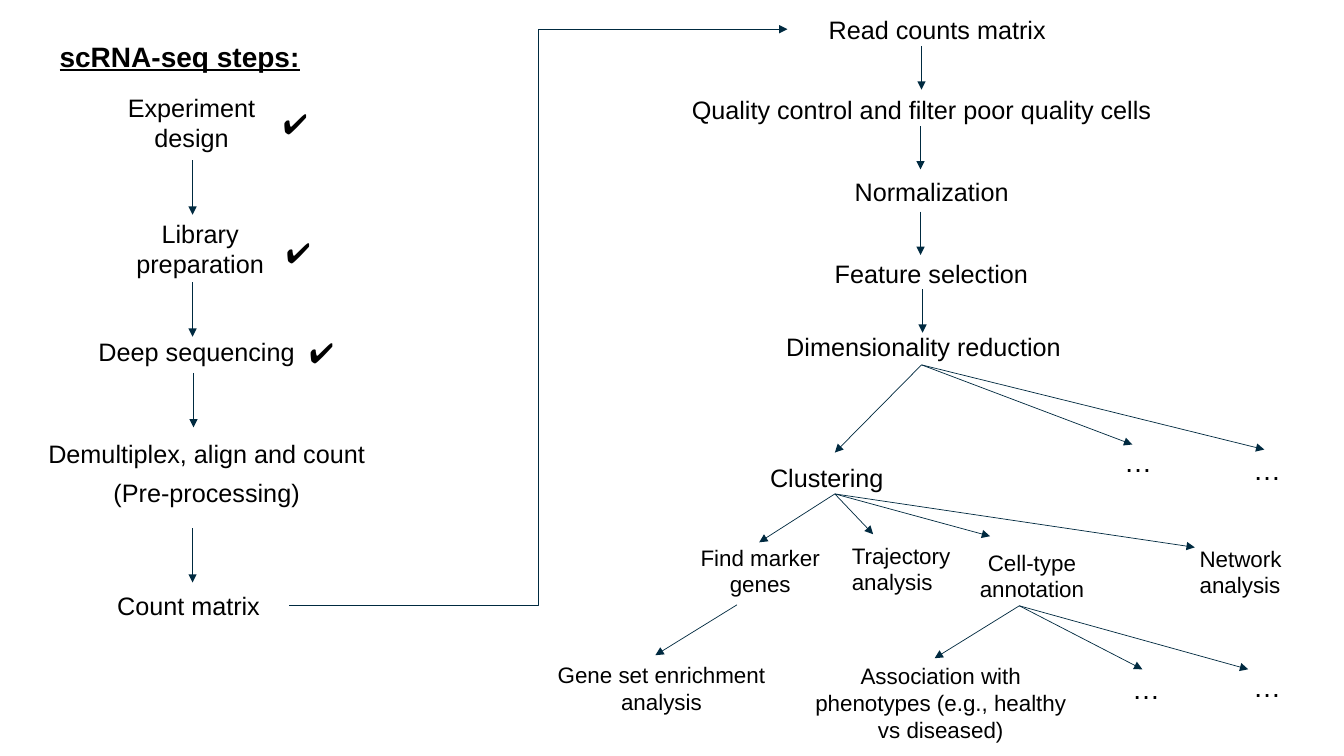
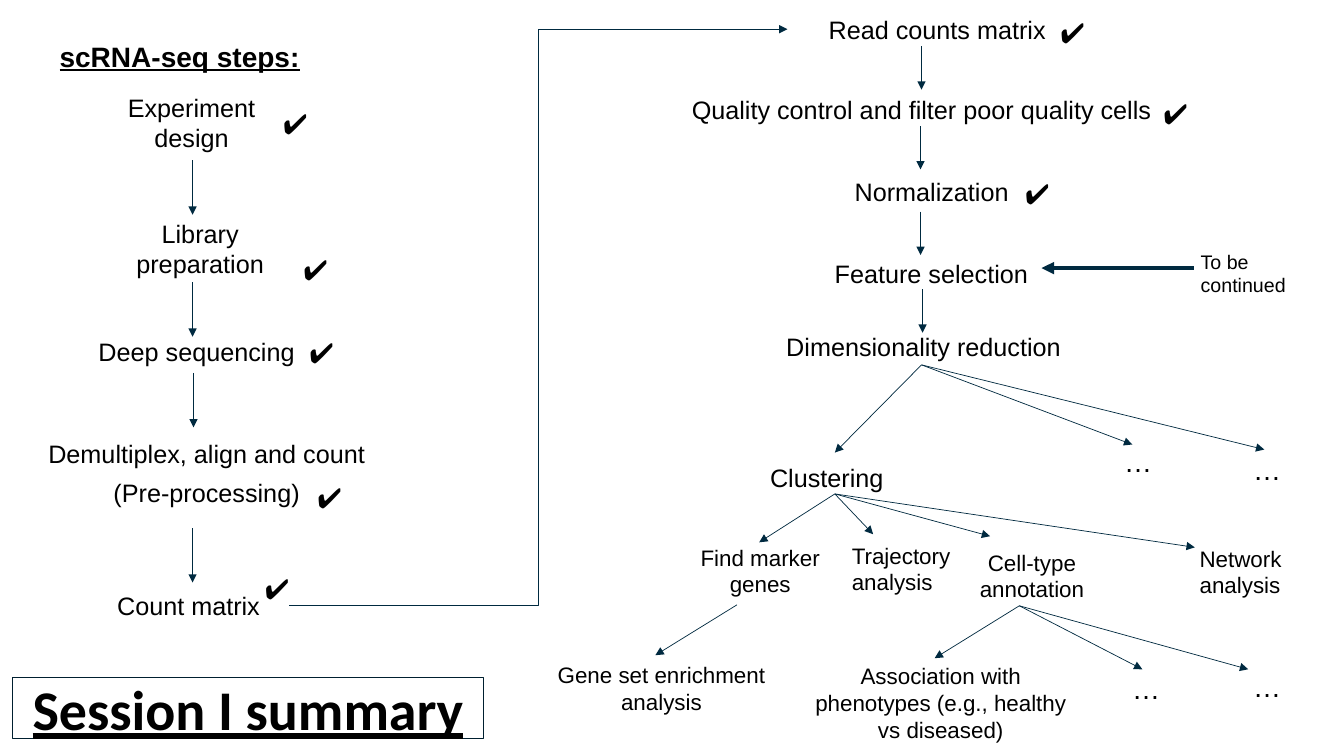
from lxml import etree
from pptx import Presentation
from pptx.dml.color import RGBColor
from pptx.enum import shapes, text
from pptx.oxml import ns
from pptx.util import Inches, Pt

BLACK = RGBColor(0x00, 0x00, 0x00)
ARROW_BLUE = RGBColor(0x00, 0x2A, 0x40)
BORDER_BLUE = RGBColor(0x00, 0x1F, 0x2F)
BODY_FONT = "Arial"
SUMMARY_FONT = "Calibri"
LEFT = text.PP_ALIGN.LEFT
CENTER = text.PP_ALIGN.CENTER

STEP_HEIGHT = 0.5
WET_LAB_WIDTH = 2.6
ANALYSIS_WIDTH = 2.18

# Unwrapped single-line steps: label, left, top, width, alignment
STEPS = [
    ("Deep sequencing", 0.65, 3.24, WET_LAB_WIDTH, CENTER),
    ("Count matrix", 0.57, 5.76, WET_LAB_WIDTH, CENTER),
    ("Read counts matrix", 8.12, 0.04, ANALYSIS_WIDTH, LEFT),
    ("Quality control and filter poor quality cells", 8.05, 0.84, ANALYSIS_WIDTH, CENTER),
    ("Normalization", 8.15, 1.65, ANALYSIS_WIDTH, CENTER),
    ("Feature selection", 8.18, 2.46, ANALYSIS_WIDTH, LEFT),
    ("Dimensionality reduction", 8.07, 3.19, ANALYSIS_WIDTH, CENTER),
    ("Clustering", 7.11, 4.49, ANALYSIS_WIDTH, CENTER),
]

# Wrapped labels: label, box, size, alignment
WRAPPED_LABELS = [
    ("Experiment design", (0.9, 0.97, 2, 0.49), 18, CENTER),
    ("Library preparation", (1.16, 2.22, 1.65, 0.49), 18, CENTER),
    ("Find marker genes", (6.63, 5.35, 1.82, 0.62), 16, CENTER),
    ("Trajectory analysis", (8.35, 5.44, 1.55, 0.4), 16, LEFT),
    ("Cell-type annotation", (9.51, 5.51, 1.45, 0.4), 16, CENTER),
    ("Network analysis", (11.8, 5.17, 1.46, 1), 16, LEFT),
    ("Gene set enrichment analysis", (5.2, 6.33, 2.72, 1), 16, CENTER),
    ("Association with phenotypes (e.g., healthy vs diseased)",
     (7.97, 6.47, 2.72, 1), 16, CENTER),
]

ELLIPSES = [(11.05, 4.38), (12.33, 4.46), (12.33, 6.61), (11.13, 6.63)]

# Downward arrows: x, top, length
DOWN_ARROWS = [
    (1.91, 1.59, 0.54), (1.91, 2.8, 0.54), (1.92, 3.7, 0.54), (1.91, 5.24, 0.54),
    (9.14, 0.46, 0.43), (9.13, 1.25, 0.43), (9.13, 2.1, 0.43), (9.15, 2.87, 0.43),
]

# Branching arrows: start, ends
BRANCHES = [
    ((9.14, 3.62), [(8.28, 4.49), (11.23, 4.41), (12.54, 4.46)]),
    ((8.28, 4.9), [(7.53, 5.38), (8.66, 5.3), (9.82, 5.32), (11.85, 5.43)]),
    ((7.31, 6), [(6.5, 6.5)]),
    ((10.11, 6.01), [(9.27, 6.53), (11.33, 6.64), (12.38, 6.64)]),
]

STEPS_CHECKS = [(2.71, 0.94), (2.74, 2.22), (2.97, 3.22)]
SUMMARY_CHECKS = [
    (2.71, 0.94), (2.91, 2.39), (2.97, 3.22), (3.05, 4.65), (2.53, 5.56),
    (10.42, 0.04), (11.44, 0.84), (10.07, 1.64),
]


def write_text(shape, lines, size, align=LEFT, wrap=True, font=BODY_FONT, heading=False):
    """Fill a shape with one paragraph per line; headings are bold and underlined."""
    frame = shape.text_frame
    frame.auto_size = text.MSO_AUTO_SIZE.NONE
    frame.word_wrap = wrap
    frame.vertical_anchor = text.MSO_ANCHOR.MIDDLE
    for index, line in enumerate(lines):
        paragraph = frame.add_paragraph() if index else frame.paragraphs[0]
        paragraph.alignment = align
        paragraph.space_after = Pt(6)
        run = paragraph.add_run()
        run.text = line
        run.font.name = font
        run.font.size = Pt(size)
        run.font.color.rgb = BLACK
        if heading:
            run.font.bold = True
            run.font.underline = True


def add_label(slide, lines, box, size=18, align=LEFT, wrap=True):
    shape = slide.shapes.add_textbox(*map(Inches, box))
    write_text(shape, lines, size, align, wrap)


def add_arrow(slide, start, end, width=0.5, kind=shapes.MSO_CONNECTOR.STRAIGHT):
    connector = slide.shapes.add_connector(kind, *map(Inches, (*start, *end)))
    connector.line.color.rgb = ARROW_BLUE
    connector.line.width = Pt(width)
    line = connector.line._get_or_add_ln()
    etree.SubElement(line, ns.qn("a:tailEnd"), type="triangle")
    etree.SubElement(connector._element.spPr, ns.qn("a:effectLst"))


def add_checks(slide, positions):
    for left, top in positions:
        add_label(slide, ["✔️"], (left, top, 1, 0.56), 20, wrap=False)


def add_heading(slide):
    title = slide.shapes.title
    title.left, title.top, title.width, title.height = map(Inches, (0.49, 0.32, 3.76, 0.47))
    write_text(title, ["scRNA-seq steps:"], 20, heading=True)


def add_workflow_slide(presentation, checks):
    """Add a slide with the whole workflow and the given check marks."""
    slide = presentation.slides.add_slide(presentation.slide_layouts[5])
    add_heading(slide)
    for label, left, top, width, align in STEPS:
        add_label(slide, [label], (left, top, width, STEP_HEIGHT), align=align, wrap=False)
    add_label(slide, ["Demultiplex, align and count", "(Pre-processing)"],
              (0.75, 4.19, WET_LAB_WIDTH, 1), align=CENTER, wrap=False)
    for label, box, size, align in WRAPPED_LABELS:
        add_label(slide, [label], box, size, align)
    for left, top in ELLIPSES:
        add_label(slide, ["…"], (left, top, 0.8, 0.4), 20)
    for x, top, length in DOWN_ARROWS:
        add_arrow(slide, (x, top), (x, top + length))
    for start, ends in BRANCHES:
        for end in ends:
            add_arrow(slide, start, end)
    add_arrow(slide, (2.87, 6.01), (7.81, 0.29), kind=shapes.MSO_CONNECTOR.ELBOW)
    add_checks(slide, checks)
    return slide


def add_summary_box(slide):
    box = slide.shapes.add_shape(shapes.MSO_SHAPE.RECTANGLE,
                                 *map(Inches, (0.12, 6.72, 4.68, 0.61)))
    box.shadow.inherit = False
    box.fill.background()
    box.line.color.rgb = BORDER_BLUE
    box.line.width = Pt(0.75)
    write_text(box, ["Session I summary"], 40, CENTER, font=SUMMARY_FONT, heading=True)


def main():
    presentation = Presentation()
    presentation.slide_width = Inches(13.33)
    presentation.slide_height = Inches(7.5)
    add_workflow_slide(presentation, STEPS_CHECKS)
    summary = add_workflow_slide(presentation, SUMMARY_CHECKS)
    add_summary_box(summary)
    add_arrow(summary, (11.84, 2.66), (10.33, 2.66), width=3)
    add_label(summary, ["To be continued"], (11.81, 2.23, 1.06, 0.96), 14)
    presentation.save("out.pptx")


if __name__ == "__main__":
    main()
